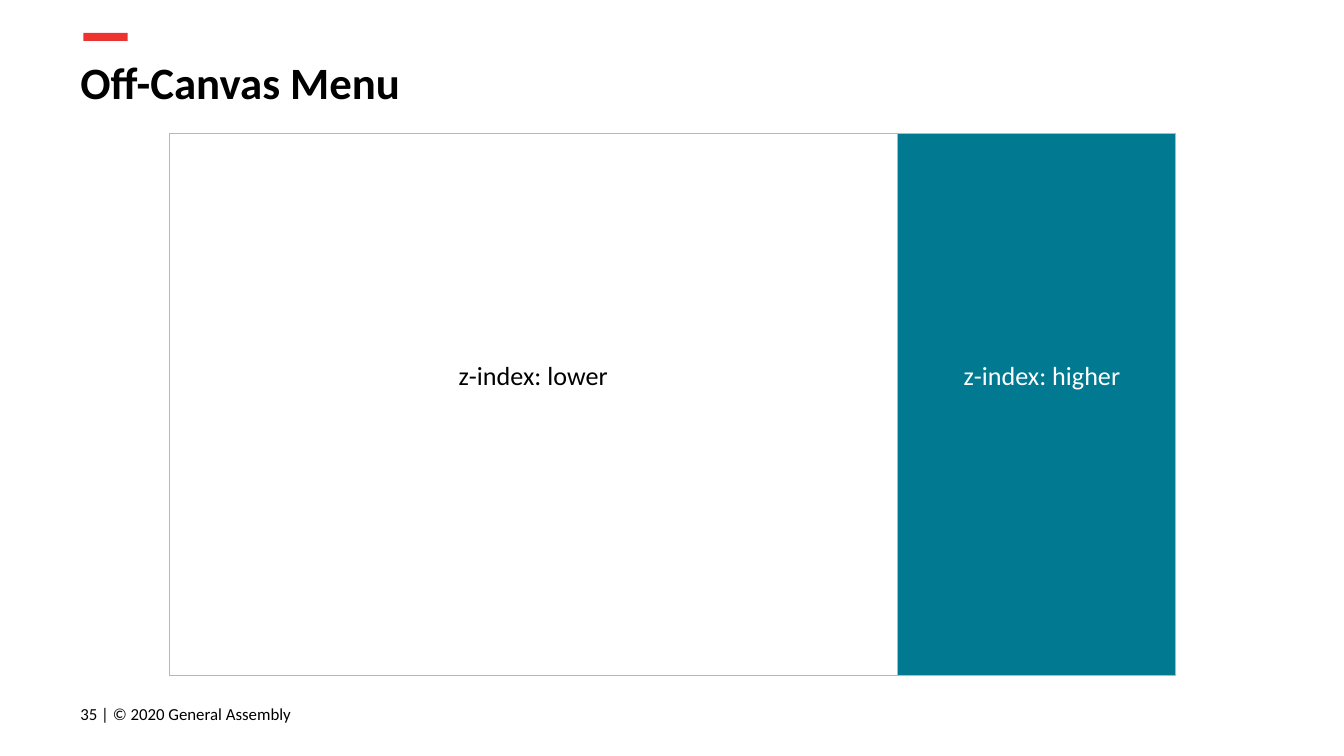
from pptx import Presentation
from pptx.dml.color import RGBColor
from pptx.enum.shapes import MSO_SHAPE
from pptx.enum.text import MSO_ANCHOR, PP_ALIGN
from pptx.util import Emu, Pt

PX = 4572  # EMU per px, 200 px to the inch
FONT = "Calibri"
BLACK, WHITE, RED, TEAL, GREY = "000000", "FFFFFF", "ED332F", "017991", "B7B7B7"


def px(length):
    return Emu(length * PX)


def color(hex_string):
    return RGBColor.from_string(hex_string)


def add_rectangle(slide, left, top, width, height, fill, line=None):
    shape = slide.shapes.add_shape(
        MSO_SHAPE.RECTANGLE, px(left), px(top), px(width), px(height))
    shape.shadow.inherit = False
    shape.fill.solid()
    shape.fill.fore_color.rgb = color(fill)
    if line:
        shape.line.color.rgb = color(line)
        shape.line.width = Pt(0.75)
    else:
        shape.line.fill.background()


def add_text(slide, left, top, width, height, text, size, text_color=BLACK,
             bold=False, align=PP_ALIGN.LEFT, anchor=MSO_ANCHOR.TOP):
    box = slide.shapes.add_textbox(px(left), px(top), px(width), px(height))
    frame = box.text_frame
    frame.word_wrap = True
    frame.vertical_anchor = anchor
    frame.margin_left = frame.margin_right = px(20)
    frame.margin_top = frame.margin_bottom = px(20)
    frame.text = text
    paragraph = frame.paragraphs[0]
    paragraph.alignment = align
    font = paragraph.runs[0].font
    font.name, font.size, font.bold = FONT, Pt(size), bold
    font.color.rgb = color(text_color)


def add_header(slide, left, top, width, height):
    # Accent bar above the title
    add_rectangle(slide, left + 24, top, 66, 12, RED)
    add_text(slide, left, top + 13, width, height - 13, "Off-Canvas Menu", 24, bold=True)


def add_page_diagram(slide, left, top, width, height):
    menu_width = label_width = 413
    label_height, label_top = 98, top + 316
    page_width = width - menu_width
    menu_left = left + page_width

    # Page and the menu at its right edge
    add_rectangle(slide, left, top, page_width, height, WHITE, GREY)
    add_rectangle(slide, menu_left, top, menu_width, height, TEAL, GREY)

    # Stacking labels
    page_label_left = left + (page_width - label_width) // 2
    add_text(slide, page_label_left, label_top, label_width, label_height,
             "z-index: lower", 14, align=PP_ALIGN.CENTER)
    add_text(slide, menu_left + 8, label_top, label_width, label_height,
             "z-index: higher", 14, WHITE, align=PP_ALIGN.CENTER)


def add_footer(slide, left, top, width, height):
    add_text(slide, left, top, width, height, "35 | © 2020 General Assembly", 9,
             anchor=MSO_ANCHOR.MIDDLE)


def main():
    presentation = Presentation()
    presentation.slide_width, presentation.slide_height = px(2000), px(1125)
    slide = presentation.slides.add_slide(presentation.slide_layouts[6])
    add_header(slide, 100, 49, 1864, 139)
    add_page_diagram(slide, 252, 199, 1497, 806)
    add_footer(slide, 100, 1020, 518, 86)
    presentation.save("out.pptx")


if __name__ == "__main__":
    main()
